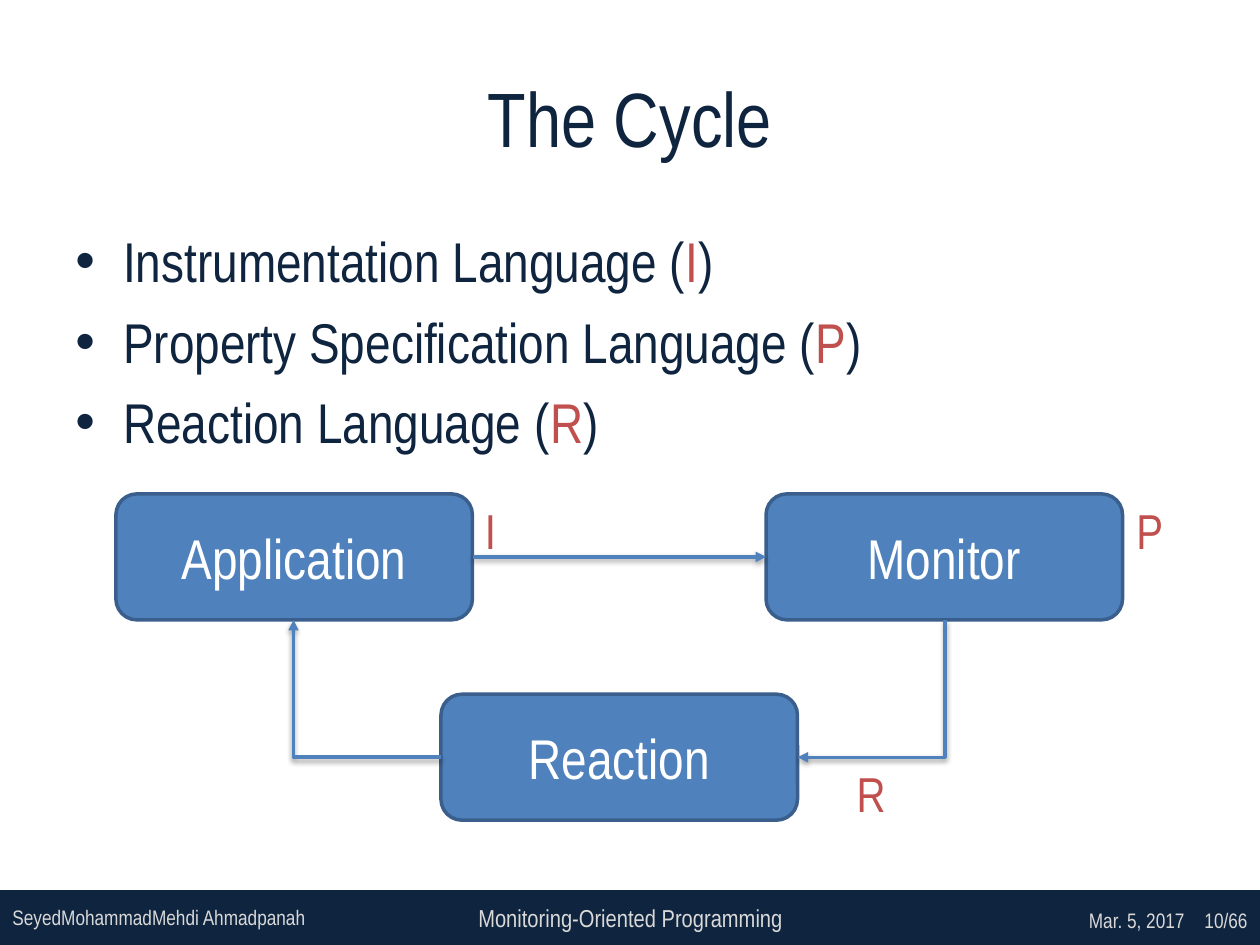
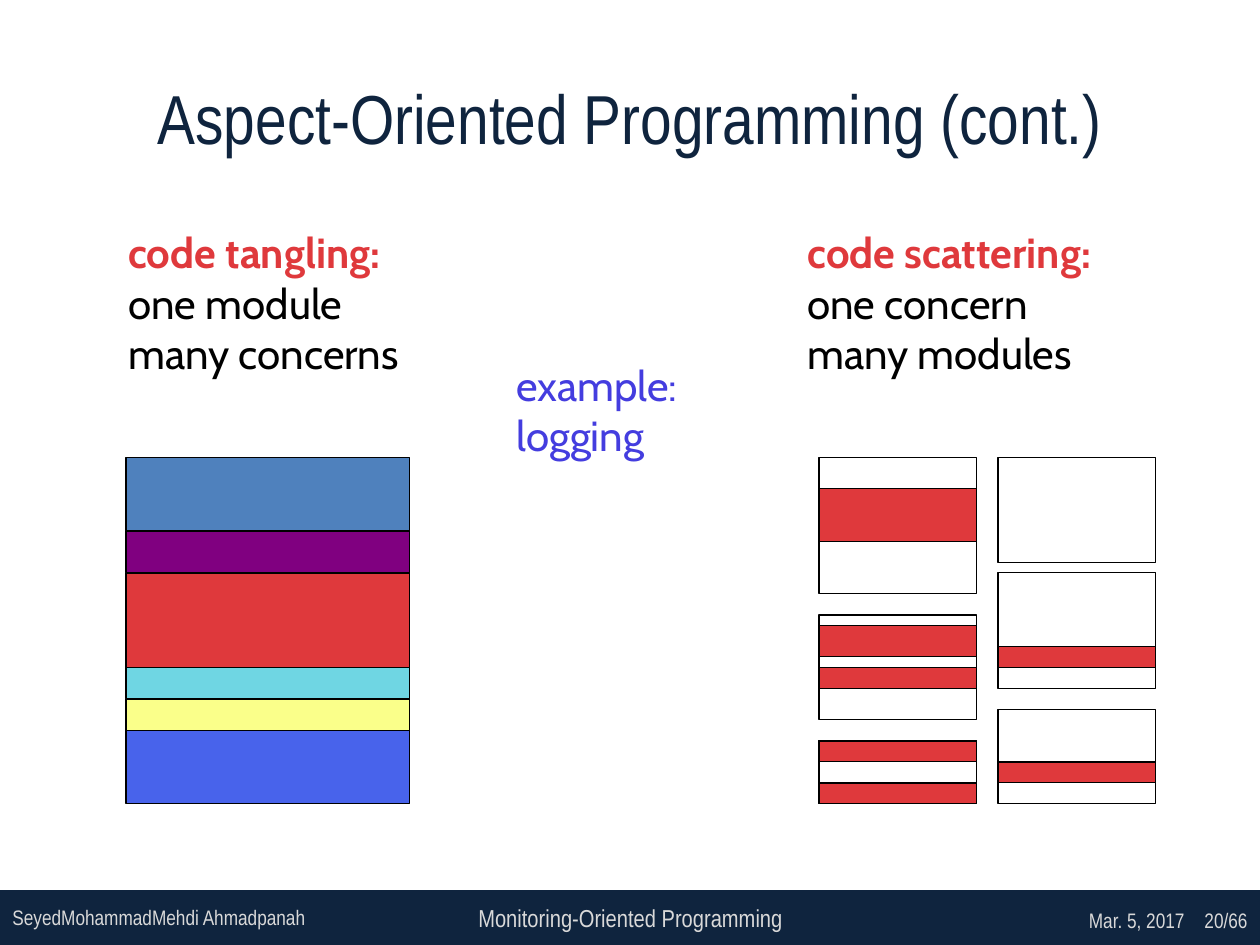
from dataclasses import dataclass

from lxml import etree
from pptx import Presentation
from pptx.dml.color import RGBColor
from pptx.enum.shapes import MSO_CONNECTOR, MSO_SHAPE
from pptx.enum.text import MSO_ANCHOR, PP_ALIGN
from pptx.oxml import parse_xml
from pptx.oxml.ns import nsdecls, qn
from pptx.util import Inches, Pt

LEFT, CENTER, RIGHT = PP_ALIGN.LEFT, PP_ALIGN.CENTER, PP_ALIGN.RIGHT
TOP, MIDDLE = MSO_ANCHOR.TOP, MSO_ANCHOR.MIDDLE
RECTANGLE, ROUNDED = MSO_SHAPE.RECTANGLE, MSO_SHAPE.ROUNDED_RECTANGLE
STRAIGHT, ELBOW = MSO_CONNECTOR.STRAIGHT, MSO_CONNECTOR.ELBOW
SITE_LEFT, SITE_BOTTOM, SITE_RIGHT = 1, 2, 3


@dataclass(frozen=True)
class Theme:
    font: str = "Arial Narrow"
    code_font: str = "Cabin"
    navy: str = "0F243E"
    blue: str = "4F81BD"
    blue_edge: str = "3A5F8C"
    accent: str = "C0504D"
    footer: str = "D9D9D9"
    white: str = "FFFFFF"
    black: str = "000000"
    concern_red: str = "DF393C"
    purple: str = "800080"
    cyan: str = "6FD6E3"
    yellow: str = "FAFF8A"
    royal: str = "4863EB"
    example: str = "443DDF"
    title_size: float = 44
    long_title_size: float = 39.6
    body_size: float = 32
    label_size: float = 28
    code_size: float = 24
    footer_center_size: float = 14
    footer_size: float = 12


theme = Theme()


def write_text(shape, lines, size, color, font=theme.font, align=LEFT, anchor=TOP):
    """Fill a shape with one paragraph per line, all in one style."""
    text_frame = shape.text_frame
    text_frame.word_wrap = True
    text_frame.vertical_anchor = anchor
    text_frame.text = "\n".join(lines)
    for paragraph in text_frame.paragraphs:
        paragraph.alignment = align
        for run in paragraph.runs:
            run.font.name = font
            run.font.size = Pt(size)
            run.font.color.rgb = RGBColor.from_string(color)


def add_box(shapes, kind, place, fill, edge=theme.black, edge_width=0.75):
    box = shapes.add_shape(kind, *map(Inches, place))
    box.shadow.inherit = False
    box.fill.solid()
    box.fill.fore_color.rgb = RGBColor.from_string(fill)
    box.line.color.rgb = RGBColor.from_string(edge)
    box.line.width = Pt(edge_width)
    return box


presentation = Presentation()
presentation.slide_width = Inches(10)
presentation.slide_height = Inches(7.5)
blank_layout = presentation.slide_layouts[6]

# Title and footer band on each slide
slides = []
for title, title_size, page in [
    ("The Cycle", theme.title_size, "10/66"),
    ("Aspect-Oriented Programming (cont.)", theme.long_title_size, "20/66"),
]:
    slide = presentation.slides.add_slide(blank_layout)
    slides.append(slide)
    add_box(slide.shapes, RECTANGLE, (0, 7.08, 10, 0.42), theme.navy, theme.navy, 2)
    for place, text, size, align in [
        ((0, 7.08, 3.42, 0.4), "SeyedMohammadMehdi Ahmadpanah", theme.footer_size, LEFT),
        ((3.42, 7.08, 3.17, 0.4), "Monitoring-Oriented Programming",
         theme.footer_center_size, CENTER),
        ((7.33, 7.1, 2.17, 0.4), "Mar. 5, 2017", theme.footer_size, RIGHT),
        ((9.4, 7.1, 0.6, 0.4), page, theme.footer_size, RIGHT),
    ]:
        footer = slide.shapes.add_textbox(*map(Inches, place))
        write_text(footer, [text], size, theme.footer, align=align, anchor=MIDDLE)
    title_box = slide.shapes.add_textbox(Inches(0.5), Inches(0.3), Inches(9), Inches(1.25))
    write_text(title_box, [title], title_size, theme.navy, align=CENTER, anchor=MIDDLE)

cycle_slide, aspect_slide = slides

# The Cycle: three languages
languages = [("Instrumentation", "I"), ("Property Specification", "P"), ("Reaction", "R")]
body = cycle_slide.shapes.add_textbox(Inches(0.5), Inches(1.75), Inches(9), Inches(2.1))
write_text(body, [f"{name} Language (" for name, _ in languages], theme.body_size, theme.navy)
for paragraph, (_, letter) in zip(body.text_frame.paragraphs, languages):
    paragraph.space_before = Pt(7.5)
    properties = paragraph._p.get_or_add_pPr()
    properties.set("marL", str(Inches(0.38)))
    properties.set("indent", str(-Inches(0.38)))
    etree.SubElement(properties, qn("a:buFont")).set("typeface", "Arial")
    etree.SubElement(properties, qn("a:buChar")).set("char", "•")
    for text, color in [(letter, theme.accent), (")", theme.navy)]:
        run = paragraph.add_run()
        run.text = text
        run.font.name = theme.font
        run.font.size = Pt(theme.body_size)
        run.font.color.rgb = RGBColor.from_string(color)

# The Cycle: stages and the arrows between them
stages = {}
for name, left, top in [
    ("Application", 0.92, 3.92), ("Monitor", 6.08, 3.92), ("Reaction", 3.5, 5.51),
]:
    stages[name] = add_box(cycle_slide.shapes, ROUNDED, (left, top, 2.83, 1),
                           theme.blue, theme.blue_edge, 2)
    write_text(stages[name], [name], theme.body_size, theme.white,
               align=CENTER, anchor=MIDDLE)

for kind, source, source_site, target, target_site, place, rotation in [
    (STRAIGHT, "Application", SITE_RIGHT, "Monitor", SITE_LEFT, (3.75, 4.42, 2.33, 0), 0),
    (ELBOW, "Monitor", SITE_BOTTOM, "Reaction", SITE_RIGHT, (6.37, 4.88, 1.09, 1.17), 90),
    (ELBOW, "Reaction", SITE_LEFT, "Application", SITE_BOTTOM, (2.33, 4.92, 1.17, 1.09), 180),
]:
    arrow = cycle_slide.shapes.add_connector(kind, 0, 0, 0, 0)
    arrow.begin_connect(stages[source], source_site)
    arrow.end_connect(stages[target], target_site)
    arrow.left, arrow.top, arrow.width, arrow.height = map(Inches, place)
    arrow.line.color.rgb = RGBColor.from_string(theme.blue)
    arrow.line.width = Pt(2)
    shape_properties = arrow._element.spPr
    transform = shape_properties.find(qn("a:xfrm"))
    for flip in ("flipH", "flipV"):
        transform.attrib.pop(flip, None)
    if kind == ELBOW:
        transform.set("rot", str(rotation * 60000))
        shape_properties.find(qn("a:prstGeom")).set("prst", "bentConnector2")
    etree.SubElement(arrow.line._get_or_add_ln(), qn("a:tailEnd")).set("type", "triangle")
    shape_properties.append(parse_xml(
        f'<a:effectLst {nsdecls("a")}>'
        '<a:outerShdw blurRad="40000" dist="20000" dir="5400000" rotWithShape="0">'
        f'<a:srgbClr val="{theme.black}"><a:alpha val="38000"/></a:srgbClr>'
        '</a:outerShdw></a:effectLst>'))

for letter, left, top in [("I", 3.75, 3.92), ("P", 8.92, 3.92), ("R", 6.7, 6.01)]:
    label = cycle_slide.shapes.add_textbox(
        Inches(left), Inches(top), Inches(0.5), Inches(0.57))
    write_text(label, [letter], theme.label_size, theme.accent)

# Aspect-Oriented Programming: vertical measures count lines of code
CODE_TOP = 3.63
CODE_LINE = 1 / 12

tangled_module = aspect_slide.shapes.add_group_shape()
line = 0
for line_count, color in [
    (7, theme.blue), (4, theme.purple), (9, theme.concern_red),
    (3, theme.cyan), (3, theme.yellow), (7, theme.royal),
]:
    add_box(tangled_module.shapes, RECTANGLE,
            (1, CODE_TOP + line * CODE_LINE, 2.25, line_count * CODE_LINE), color)
    line += line_count

# Each module: first line, line count, then (first line, line count) of its logging parts
scattered_columns = {
    6.5: [(0, 13, [(3, 5)]), (15, 10, [(16, 3), (20, 2)]), (27, 6, [(27, 2), (31, 2)])],
    7.92: [(0, 10, []), (11, 11, [(18, 2)]), (24, 9, [(29, 2)])],
}
for left, modules in scattered_columns.items():
    for first_line, line_count, logging_parts in modules:
        parts = [(first_line, line_count, theme.white)]
        parts += [(*part, theme.concern_red) for part in logging_parts]
        for part_line, part_count, color in parts:
            add_box(aspect_slide.shapes, RECTANGLE,
                    (left, CODE_TOP + part_line * CODE_LINE, 1.25, part_count * CODE_LINE),
                    color)

for left, lines in [
    (0.92, ["code tangling:", "one module", "many concerns"]),
    (6.31, ["code scattering:", "one concern", "many modules"]),
]:
    caption = aspect_slide.shapes.add_textbox(
        Inches(left), Inches(1.75), Inches(2.65), Inches(1.31))
    write_text(caption, lines, theme.code_size, theme.black, theme.code_font)
    heading = caption.text_frame.paragraphs[0].runs[0]
    heading.font.bold = True
    heading.font.color.rgb = RGBColor.from_string(theme.concern_red)

example = aspect_slide.shapes.add_textbox(Inches(4), Inches(2.8), Inches(1.56), Inches(0.91))
write_text(example, ["example:", "logging"], theme.code_size, theme.example, theme.code_font)

presentation.save("out.pptx")
